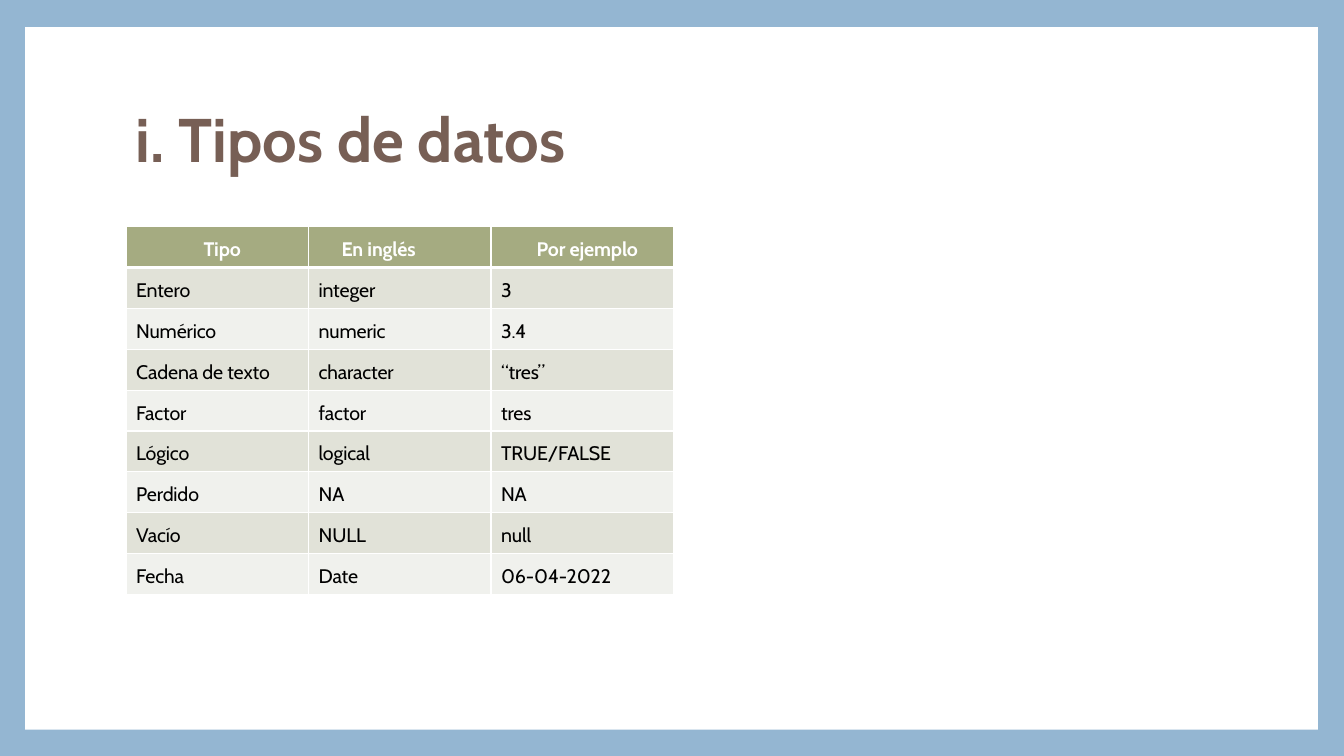
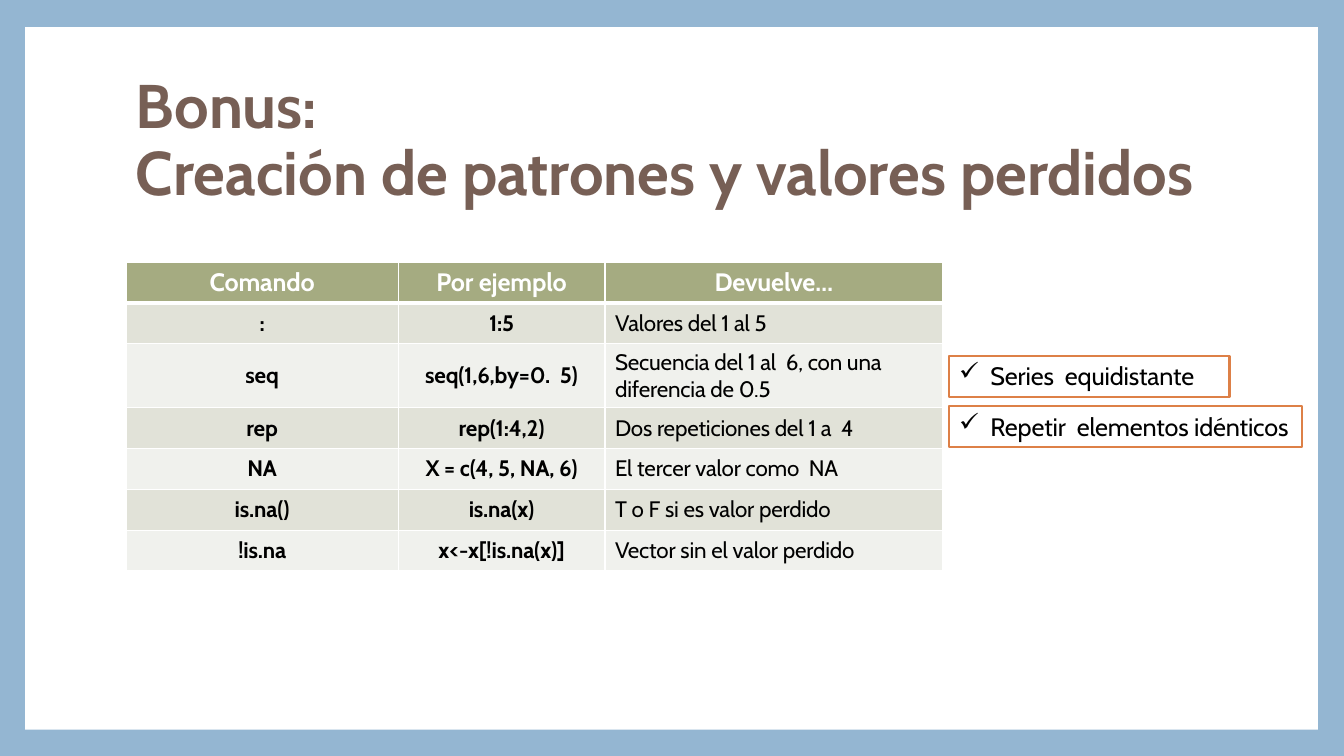
from lxml.etree import SubElement
from pptx import Presentation
from pptx.dml.color import RGBColor
from pptx.enum.shapes import MSO_SHAPE
from pptx.enum.text import MSO_ANCHOR, PP_ALIGN
from pptx.oxml import parse_xml
from pptx.oxml.ns import nsdecls, qn
from pptx.util import Inches, Pt

UNIT = Inches(0.05)
LEFT = 25
ROW = 8.11
SKY, WHITE, BLACK = "94B6D2", "FFFFFF", "000000"
BROWN, OLIVE, ORANGE = "775F55", "A5AB81", "DD8047"
BANDS = ["E1E2D8", "F0F1ED"]

TITLE = {"size": Pt(44), "bold": True}
NOTE = {"size": Pt(18), "bold": False}
CENTERED = {"alignment": PP_ALIGN.CENTER}

TYPES = [
    ["Tipo", "En inglés", "Por ejemplo"],
    ["Entero", "integer", "3"],
    ["Numérico", "numeric", "3.4"],
    ["Cadena de texto", "character", "“tres”"],
    ["Factor", "factor", "tres"],
    ["Lógico", "logical", "TRUE/FALSE"],
    ["Perdido", "NA", "NA"],
    ["Vacío", "NULL", "null"],
    ["Fecha", "Date", "06-04-2022"],
]
COMMANDS = [
    ["Comando", "Por ejemplo", "Devuelve…"],
    [":", "1:5", "Valores del 1 al 5"],
    ["seq", "seq(1,6,by=0.  5)", "Secuencia del 1 al  6, con una diferencia de 0.5"],
    ["rep", "rep(1:4,2)", "Dos repeticiones del 1 a  4"],
    ["NA", "X = c(4, 5, NA, 6)", "El tercer valor como  NA"],
    ["is.na()", "is.na(x)", "T o F si es valor perdido"],
    ["!is.na", "x<-x[!is.na(x)]", "Vector sin el valor perdido"],
]
SLIDES = [
    {
        "title": "i. Tipos de datos",
        "rows": TYPES,
        "top": 45,
        "widths": [36.2] * 3,
        "tall": {},
        "sizes": [14, 14],
        "bold_columns": 0,
        "header_anchor": MSO_ANCHOR.MIDDLE,
        "cell": {"margin_right": 0, "margin_bottom": 0},
        "right_margins": {(0, 1): Inches(0.52)},
        "paragraph": {"space_before": Pt(3.6)},
        "notes": [],
    },
    {
        "title": "Bonus: \nCreación de patrones y valores perdidos",
        "rows": COMMANDS,
        "top": 52,
        "widths": [54, 41, 67],
        "tall": {2: 12.7},
        "sizes": [18, 16],
        "bold_columns": 2,
        "header_anchor": MSO_ANCHOR.TOP,
        "cell": {},
        "right_margins": {},
        "paragraph": {},
        "notes": [("Series  equidistante", 70.6, 55.6), ("Repetir  elementos idénticos", 80.6, 70)],
    },
]


def color(value):
    return RGBColor.from_string(value)


def write(frame, text, ink, font_format, paragraph_format, spacing=0):
    paragraph = frame.paragraphs[0]
    paragraph.text = text
    for name, value in paragraph_format.items():
        setattr(paragraph, name, value)
    for run in paragraph.runs:
        run.font.name = "Cabin"
        run.font.color.rgb = color(ink)
        for name, value in font_format.items():
            setattr(run.font, name, value)
        run.font._element.set("spc", str(spacing))
    return paragraph


presentation = Presentation()
presentation.slide_width = Inches(13.33)
presentation.slide_height = Inches(7.5)
background = presentation.slide_master.background.fill
background.solid()
background.fore_color.rgb = color(SKY)

for content in SLIDES:
    slide = presentation.slides.add_slide(presentation.slide_layouts[6])
    panel = slide.shapes.add_shape(
        MSO_SHAPE.RECTANGLE, *[int(UNIT * n) for n in (5, 5.4, 256.4, 139.4)]
    )
    panel.shadow.inherit = False
    panel.fill.solid()
    panel.fill.fore_color.rgb = color(WHITE)
    panel.line.fill.background()

    title = slide.shapes.add_textbox(*[int(UNIT * n) for n in (LEFT, 13.4, 216, 29.6)])
    title.text_frame.word_wrap = True
    title.text_frame.vertical_anchor = MSO_ANCHOR.MIDDLE
    write(title.text_frame, content["title"], BROWN, TITLE, {"line_spacing": 0.9})

    rows, widths = content["rows"], content["widths"]
    heights = [content["tall"].get(index, ROW) for index in range(len(rows))]
    area = [int(UNIT * n) for n in (LEFT, content["top"], sum(widths), sum(heights))]
    table = slide.shapes.add_table(len(rows), len(widths), *area).table
    table.first_row = table.horz_banding = False
    for column, width in zip(table.columns, widths):
        column.width = int(UNIT * width)
    for row_index, texts in enumerate(rows):
        table.rows[row_index].height = int(UNIT * heights[row_index])
        header = row_index == 0
        for column_index, text in enumerate(texts):
            cell = table.cell(row_index, column_index)
            cell.vertical_anchor = content["header_anchor"] if header else MSO_ANCHOR.MIDDLE
            for name, value in content["cell"].items():
                setattr(cell, name, value)
            if (row_index, column_index) in content["right_margins"]:
                cell.margin_right = content["right_margins"][row_index, column_index]
            cell.fill.solid()
            cell.fill.fore_color.rgb = color(OLIVE if header else BANDS[(row_index - 1) % 2])
            bold = header or column_index < content["bold_columns"]
            font_format = {"size": Pt(content["sizes"][0 if header else 1]), "bold": bold}
            paragraph_format = CENTERED if bold else content["paragraph"]
            write(cell.text_frame, text, WHITE if header else BLACK, font_format, paragraph_format, -10)
            properties = cell._tc.get_or_add_tcPr()
            thick = {0: "B", 1: "T"}.get(row_index)
            for position, side in enumerate("LRTB"):
                weight = Pt(3 if side == thick else 1)
                border = parse_xml(
                    f'<a:ln{side} {nsdecls("a")} w="{weight}"><a:solidFill>'
                    f'<a:srgbClr val="{WHITE}"/></a:solidFill></a:ln{side}>'
                )
                properties.insert(position, border)

    for text, top, width in content["notes"]:
        note = slide.shapes.add_textbox(*[int(UNIT * n) for n in (188.3, top, width, 8.1)])
        note.text_frame.word_wrap = True
        note.fill.solid()
        note.fill.fore_color.rgb = color(WHITE)
        note.line.color.rgb = color(ORANGE)
        note.line.width = Pt(1.5)
        paragraph = write(note.text_frame, text, BLACK, NOTE, {}, -10)
        properties = paragraph._p.get_or_add_pPr()
        properties.set("marL", str(Inches(0.31)))
        properties.set("indent", str(-Inches(0.31)))
        SubElement(properties, qn("a:buChar")).set("char", "✓")

presentation.save("out.pptx")
